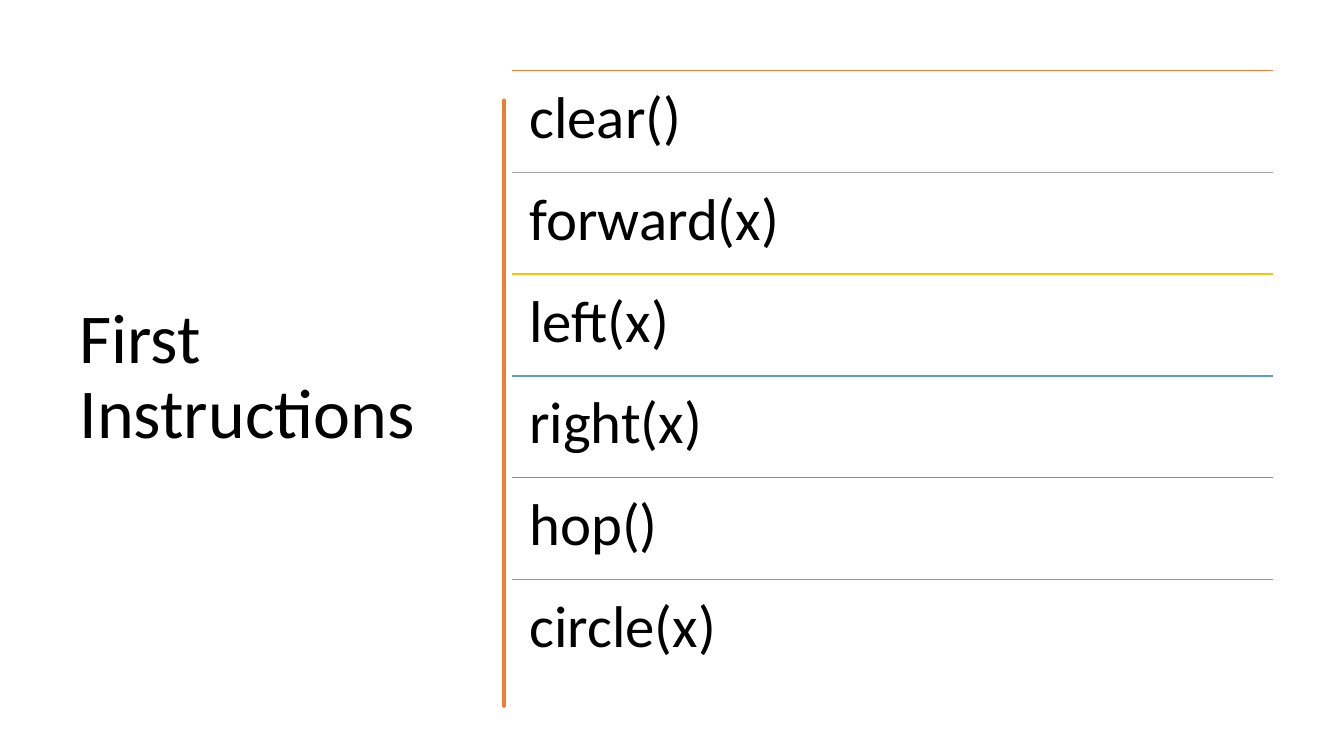
from dataclasses import dataclass

from lxml.etree import SubElement
from pptx import Presentation
from pptx.dml.color import RGBColor
from pptx.enum.shapes import MSO_CONNECTOR
from pptx.enum.text import MSO_ANCHOR
from pptx.oxml.ns import qn
from pptx.slide import Slide
from pptx.util import Inches, Pt

BLACK = RGBColor(0x00, 0x00, 0x00)
ORANGE = RGBColor(0xED, 0x7D, 0x31)
GRAY = RGBColor(0xA5, 0xA5, 0xA5)
GOLD = RGBColor(0xFF, 0xC0, 0x00)
BLUE = RGBColor(0x5B, 0x9B, 0xD5)
GREEN = RGBColor(0x70, 0xAD, 0x47)

FONT = "Calibri"
WIDTH, HEIGHT = 13.33, 7.5
TOP = 0.7
LIST_LEFT, LIST_WIDTH = 5.08, 7.55
ROW_HEIGHT = 1.01

# Outline of the hand-drawn divider, in inches
RIGHT_EDGE = [
    (4.75, 0.84), (4.76, 1.12), (4.75, 1.46), (4.74, 1.84), (4.75, 2.26),
    (4.74, 2.6), (4.75, 2.94), (4.76, 3.3), (4.75, 3.56), (4.76, 3.96),
    (4.75, 4.36), (4.73, 4.72), (4.75, 5.1), (4.76, 5.48), (4.75, 5.84),
    (4.74, 6.28), (4.75, 6.76),
]
LEFT_EDGE = [
    (4.73, 6.76), (4.73, 6.45), (4.73, 6.13), (4.73, 5.57), (4.72, 5.18),
    (4.73, 4.77), (4.72, 4.46), (4.73, 4.15), (4.73, 3.35), (4.72, 2.9),
    (4.73, 2.5), (4.74, 2.14), (4.73, 1.81), (4.73, 1.3), (4.73, 0.84),
]


@dataclass(frozen=True)
class Instruction:
    """One row of the list: its call and the colour of the rule above it."""
    call: str
    rule_color: RGBColor


INSTRUCTIONS = [
    Instruction("clear()", ORANGE),
    Instruction("forward(x)", GRAY),
    Instruction("left(x)", GOLD),
    Instruction("right(x)", BLUE),
    Instruction("hop()", GREEN),
    Instruction("circle(x)", ORANGE),
]


def add_text(slide: Slide, text: str, left: float, top: float, width: float,
             height: float, size: int, anchor: MSO_ANCHOR,
             inset: float | None = None) -> None:
    """Add a wrapped text box; lengths are in inches."""
    box = slide.shapes.add_textbox(*map(Inches, (left, top, width, height)))
    frame = box.text_frame
    frame.word_wrap = True
    frame.vertical_anchor = anchor
    if inset is not None:
        frame.margin_left = frame.margin_right = Inches(inset)
        frame.margin_top = frame.margin_bottom = Inches(inset)
    frame.text = text
    paragraph = frame.paragraphs[0]
    paragraph.line_spacing = 0.9
    font = paragraph.runs[0].font
    font.name, font.size = FONT, Pt(size)
    font.color.rgb = BLACK


def add_divider(slide: Slide) -> None:
    """Draw the wavy vertical bar between title and list."""
    start, *rest = RIGHT_EDGE + LEFT_EDGE
    builder = slide.shapes.build_freeform(*start, scale=Inches(1))
    builder.add_line_segments(rest, close=True)
    bar = builder.convert_to_shape()
    bar.shadow.inherit = False
    bar.fill.solid()
    bar.fill.fore_color.rgb = ORANGE
    bar.line.color.rgb = ORANGE
    bar.line.width = Pt(3.25)
    SubElement(bar.element.spPr.find(qn("a:ln")), qn("a:round"))


def add_instruction(slide: Slide, row: int, instruction: Instruction) -> None:
    """Draw one list row with the rule above it."""
    top = TOP + row * ROW_HEIGHT
    rule = slide.shapes.add_connector(
        MSO_CONNECTOR.STRAIGHT,
        *map(Inches, (LIST_LEFT, top, LIST_LEFT + LIST_WIDTH, top)))
    rule.line.color.rgb = instruction.rule_color
    rule.line.width = Pt(1)
    SubElement(rule.element.spPr, qn("a:effectLst"))
    add_text(slide, instruction.call, LIST_LEFT, top, LIST_WIDTH, ROW_HEIGHT,
             42, MSO_ANCHOR.TOP, inset=0.17)


deck = Presentation()
deck.slide_width, deck.slide_height = Inches(WIDTH), Inches(HEIGHT)
page = deck.slides.add_slide(deck.slide_layouts[6])
add_text(page, "First Instructions", 0.69, TOP, 3.74, 6.11, 50,
         MSO_ANCHOR.MIDDLE)
add_divider(page)
for row_index, entry in enumerate(INSTRUCTIONS):
    add_instruction(page, row_index, entry)
deck.save("out.pptx")
